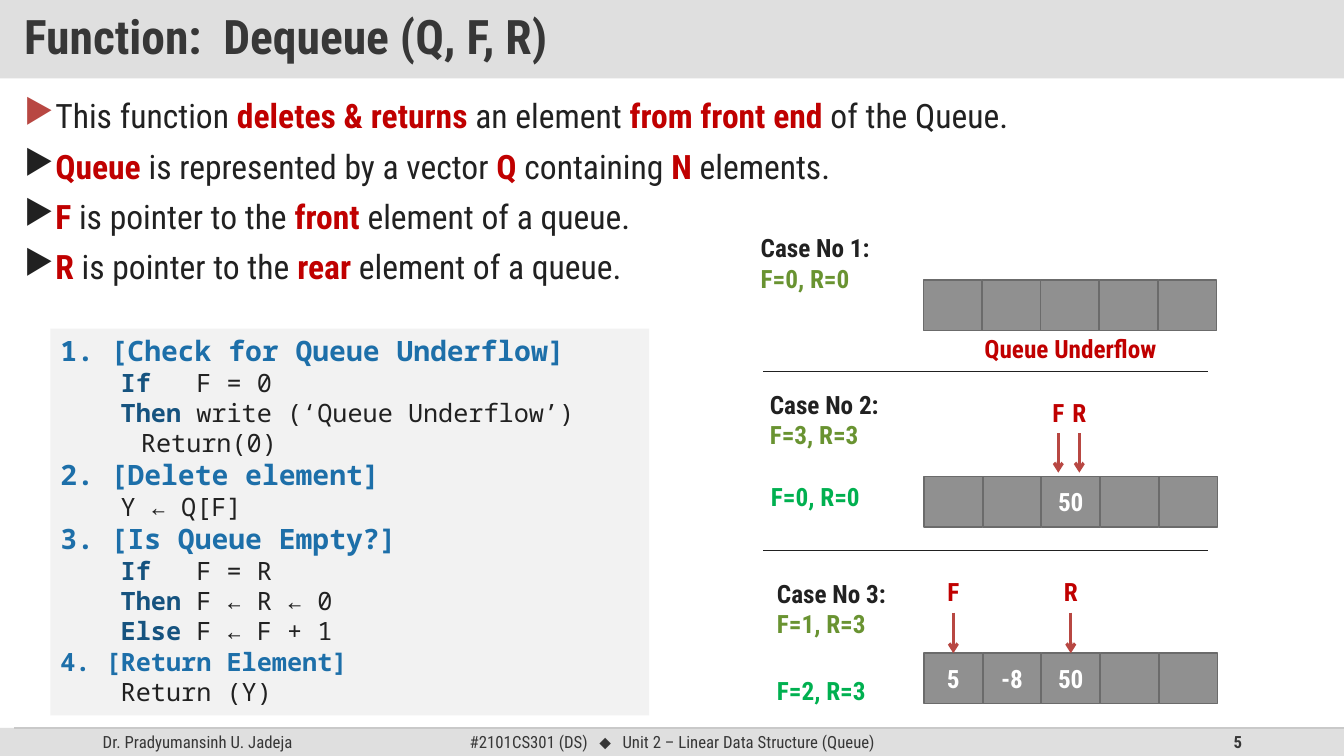
from lxml.etree import SubElement
from pptx import Presentation
from pptx.dml.color import RGBColor
from pptx.enum.shapes import MSO_CONNECTOR, MSO_SHAPE
from pptx.enum.text import MSO_ANCHOR, PP_ALIGN
from pptx.oxml.ns import qn
from pptx.util import Cm, Pt

INK, GREY, RED, ARROW_RED = "212121", "373737", "C00000", "B84742"
OLIVE, GREEN, BLUE, NAVY = "699331", "00B050", "1D6FA9", "16537F"
BAR, WHITE = "DFDFDF", "FFFFFF"


def color(value):
    return RGBColor.from_string(value)


class SlideBuilder:
    font = "Roboto Condensed"
    code_font = "Noto Sans Mono"
    cell_pitch, cell_width, cell_height = 1.48, 1.47, 1.27

    def __init__(self, slide):
        self.slide = slide

    def box(self, left, top, width, height, fill, line=None):
        shape = self.slide.shapes.add_shape(
            MSO_SHAPE.RECTANGLE, Cm(left), Cm(top), Cm(width), Cm(height))
        shape.shadow.inherit = False
        shape.fill.solid()
        shape.fill.fore_color.rgb = color(fill)
        if line:
            shape.line.color.rgb = color(line)
            shape.line.width = Pt(1)
        else:
            shape.line.fill.background()
        return shape

    def frame(self, shape, anchor=MSO_ANCHOR.TOP, inset=None):
        frame = shape.text_frame
        frame.word_wrap = True
        frame.vertical_anchor = anchor
        if inset is not None:
            frame.margin_left = frame.margin_right = Cm(inset)
        return frame

    def paragraph(self, frame, index, align=PP_ALIGN.LEFT):
        paragraph = frame.add_paragraph() if index else frame.paragraphs[0]
        paragraph.alignment = align
        return paragraph

    def run(self, paragraph, text, ink, size=18, bold=False, font=None, spacing=0):
        run = paragraph.add_run()
        run.text = text
        run.font.name = font or self.font
        run.font.size = Pt(size)
        run.font.bold = bold
        run.font.color.rgb = color(ink)
        if spacing:
            run.font._element.set("spc", str(spacing))

    def bullet(self, paragraph, indent, kind, bullet_color=None, **attributes):
        properties = paragraph._p.get_or_add_pPr()
        properties.set("marL", str(Cm(indent)))
        properties.set("indent", str(-Cm(indent)))
        if bullet_color:
            holder = SubElement(properties, qn("a:buClr"))
            SubElement(holder, qn("a:srgbClr"), val=bullet_color)
        SubElement(properties, qn(kind), **attributes)

    def textbox(self, left, top, width, height, lines, align=PP_ALIGN.LEFT,
                anchor=MSO_ANCHOR.TOP, inset=None):
        shape = self.slide.shapes.add_textbox(Cm(left), Cm(top), Cm(width), Cm(height))
        frame = self.frame(shape, anchor, inset)
        for index, runs in enumerate(lines):
            paragraph = self.paragraph(frame, index, align)
            for text, ink, *options in runs:
                self.run(paragraph, text, ink, *options)

    def title(self, text):
        shape = self.box(0, 0, 33.87, 1.98, BAR)
        frame = self.frame(shape, MSO_ANCHOR.MIDDLE, 0.61)
        paragraph = self.paragraph(frame, 0)
        paragraph.line_spacing = 0.9
        self.run(paragraph, text, GREY, 34, True)

    def bullets(self, left, top, width, height, lines):
        shape = self.slide.shapes.add_textbox(Cm(left), Cm(top), Cm(width), Cm(height))
        frame = self.frame(shape)
        for index, line in enumerate(lines):
            paragraph = self.paragraph(frame, index, PP_ALIGN.JUSTIFY)
            paragraph.line_spacing = 0.9
            paragraph.space_before = Pt(10 if index else 0)
            self.bullet(paragraph, 0.74, "a:buChar", INK if index else ARROW_RED, char="▶")
            for part, text in enumerate(line.split("*")):
                strong = part % 2 == 1
                if text:
                    self.run(paragraph, text, RED if strong else INK, 24, strong)

    def code(self, left, top, width, height, lines):
        frame = self.frame(self.box(left, top, width, height, "F2F2F2"))
        for index, runs in enumerate(lines):
            paragraph = self.paragraph(frame, index)
            if index == 0:
                self.bullet(paragraph, 1.27, "a:buAutoNum", type="arabicPeriod")
            for text, ink, size in runs:
                if text == "\n":
                    paragraph.add_line_break()
                else:
                    self.run(paragraph, text, ink, size, ink != INK, self.code_font)

    def queue(self, left, top, values=()):
        cells = []
        for index in range(5):
            cell = self.box(left + index * self.cell_pitch, top, self.cell_width,
                            self.cell_height, "909090", "6B6B6B")
            if index < len(values) and values[index]:
                frame = self.frame(cell, MSO_ANCHOR.MIDDLE, 0)
                paragraph = self.paragraph(frame, 0, PP_ALIGN.CENTER)
                self.run(paragraph, values[index], WHITE, 18, True)
            cells.append(cell)
        return cells

    def line(self, start, end, ink, width):
        points = [Cm(value) for value in (*start, *end)]
        line = self.slide.shapes.add_connector(MSO_CONNECTOR.STRAIGHT, *points)
        line.line.color.rgb = color(ink)
        line.line.width = Pt(width)
        SubElement(line._element.spPr, qn("a:effectLst"))
        return line

    def pointer(self, name, middle, top, bottom, cell=None):
        self.textbox(middle - 0.32, top - 1.03, 0.64, 1.02, [[(name, RED, 18, True)]],
                     PP_ALIGN.CENTER, inset=0)
        arrow = self.line((middle, top), (middle, bottom), ARROW_RED, 2.25)
        SubElement(arrow.line._get_or_add_ln(), qn("a:tailEnd"), type="arrow")
        if cell is not None:
            arrow.end_connect(cell, 0)

    def case(self, left, top, number, state):
        self.textbox(left, top, 3.68, 1.8, [
            [(f"Case No {number}:", INK, 18, True)], [(state, OLIVE, 18, True)]])

    def footer(self, author, course, unit, number):
        top, height = 18.34, 0.71
        self.box(0, top, 33.87, height, BAR)
        gap = (" ", GREY, 12, False, None, 540)
        center = [(course, GREY, 12), gap, ("⬥", GREY, 12, False, "Arial"), gap,
                  (unit, GREY, 12)]
        for left, width, runs, align in (
            (2.34, 7.62, [(author, GREY, 12)], PP_ALIGN.LEFT),
            (11.23, 11.43, center, PP_ALIGN.CENTER),
            (23.93, 7.62, [(number, GREY, 12, True)], PP_ALIGN.RIGHT),
        ):
            self.textbox(left, top, width, height, [runs], align, MSO_ANCHOR.MIDDLE)
        self.line((0.36, top), (33.87, top), "C9C9C9", 1)


def main():
    presentation = Presentation()
    presentation.slide_width, presentation.slide_height = Cm(33.87), Cm(19.05)
    builder = SlideBuilder(presentation.slides.add_slide(presentation.slide_layouts[6]))

    builder.footer("Dr. Pradyumansinh U. Jadeja", "#2101CS301 (DS)",
                   "Unit 2 – Linear Data Structure (Queue)", "5")
    builder.title("Function:  Dequeue (Q, F, R)")
    builder.bullets(0.36, 2.39, 33.15, 5.3, [
        "This function *deletes & returns *an element *from front end *of the Queue.",
        "*Queue *is represented by a vector *Q* containing *N* elements.",
        "*F* is pointer to the *front *element of a queue.",
        "*R* is pointer to the *rear *element of a queue.",
    ])
    builder.code(1.27, 8.28, 15.09, 9.75, [
        [("[Check for Queue Underflow]", BLUE, 20)],
        [("    If   ", NAVY, 18), ("F = 0", INK, 18)],
        [("    Then ", NAVY, 18), ("write (‘Queue Underflow’)", INK, 18)],
        [("\t  Return(0)", INK, 18)],
        [("2. [Delete element]", BLUE, 20)],
        [("    Y ← Q[F]", INK, 18)],
        [("3. [Is Queue Empty?]", BLUE, 20)],
        [("    If", NAVY, 18), ("   F = R", INK, 18)],
        [("    Then ", NAVY, 18), ("F ← R ← 0", INK, 18), ("\n", INK, 18),
         ("    Else ", NAVY, 18), ("F ← F + 1", INK, 18)],
        [("4. [Return Element]", BLUE, 18)],
        [("    Return (Y)", INK, 18)],
    ])

    builder.case(18.92, 5.74, 1, "F=0, R=0")
    builder.queue(23.27, 7.06)
    builder.textbox(23.29, 8.28, 7.37, 1.02, [[("Queue Underflow", RED, 18, True)]],
                    PP_ALIGN.CENTER)

    builder.case(19.15, 9.68, 2, "F=3, R=3")
    builder.queue(23.29, 12.01, ["", "", "50"])
    for name, middle in (("F", 26.67), ("R", 27.2)):
        builder.pointer(name, middle, 10.92, 11.91)

    builder.case(19.33, 14.45, 3, "F=1, R=3")
    cells = builder.queue(23.29, 16.46, ["5", "-8", "50"])
    for name, cell in (("F", cells[0]), ("R", cells[2])):
        builder.pointer(name, (cell.left + cell.width / 2) / Cm(1), 15.44, 16.46, cell)

    for left, top, result in ((19.18, 12.01, "F=0, R=0"), (19.33, 16.89, "F=2, R=3")):
        builder.textbox(left, top, 3.18, 1.02, [[(result, GREEN, 18, True)]])
    for height in (9.35, 13.87):
        builder.line((19.23, height), (30.45, height), INK, 0.5)

    presentation.save("out.pptx")


if __name__ == "__main__":
    main()
